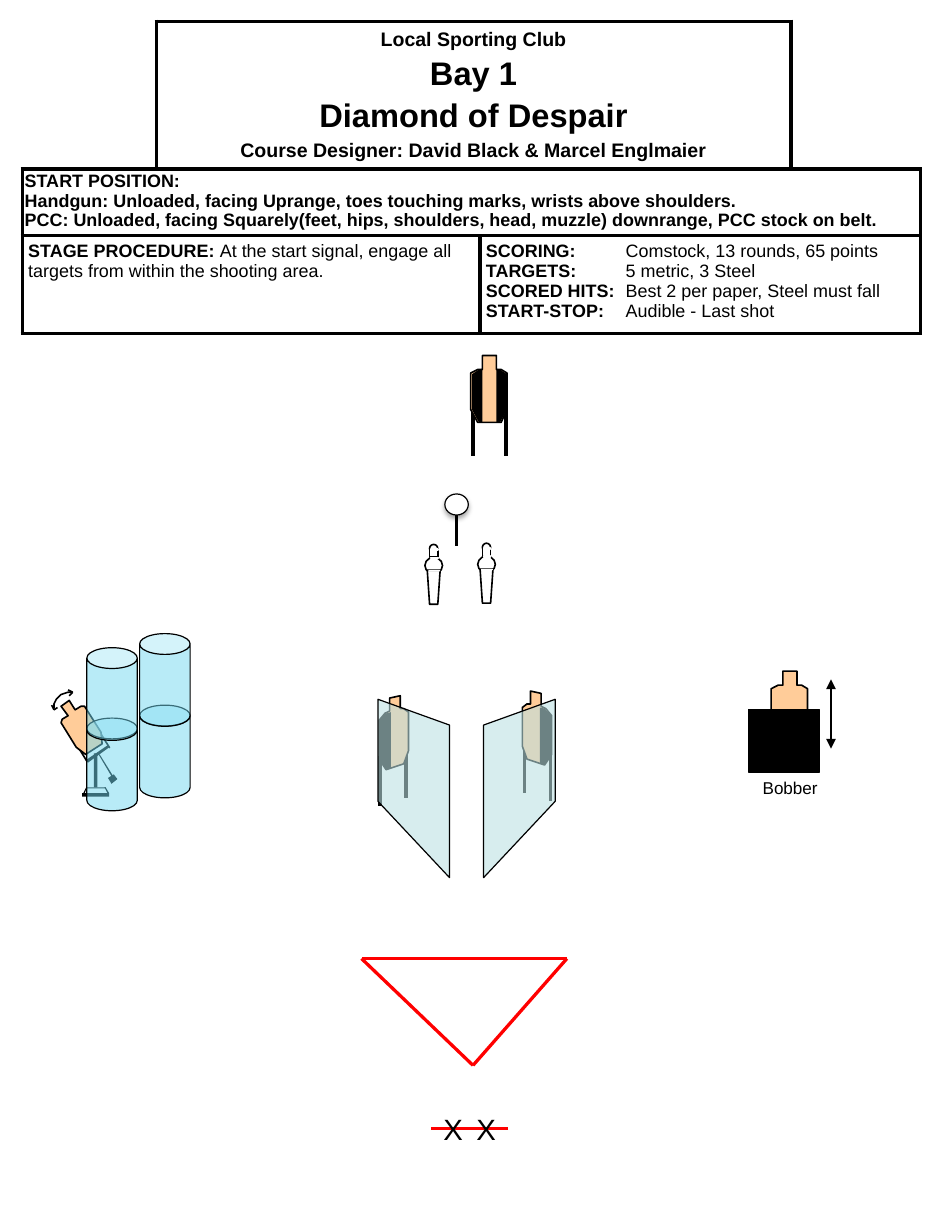
from lxml.etree import SubElement
from pptx import Presentation
from pptx.dml.color import RGBColor
from pptx.enum.shapes import MSO_CONNECTOR, MSO_SHAPE
from pptx.enum.text import MSO_ANCHOR, PP_ALIGN
from pptx.oxml.ns import qn
from pptx.util import Inches, Pt

deck = Presentation()
deck.slide_width, deck.slide_height = Inches(8), Inches(10.5)
page = deck.slides.add_slide(deck.slide_layouts[6])
shapes = page.shapes
color = RGBColor.from_string
BLACK, WHITE, RED, TAN, GLASS, BARREL = "000000", "FFFFFF", "FF0000", "FFCC99", "BBE0E3", "73D9F1"


def draw(kind, place, fill=None, line=None, width=1, alpha=None):
    """Kind is "line", "outline", "curve" or a preset; place is points or left, top, width, height."""
    if kind == "line":
        (x1, y1), (x2, y2) = place
        shape = shapes.add_connector(MSO_CONNECTOR.STRAIGHT, Inches(x1), Inches(y1), Inches(x2), Inches(y2))
    elif kind in ("outline", "curve"):
        points = [(Inches(x), Inches(y)) for x, y in place]
        builder = shapes.build_freeform(*points[0])
        builder.add_line_segments(points[1:], close=kind == "outline")
        shape = builder.convert_to_shape()
    else:
        shape = shapes.add_shape(kind, *map(Inches, place))
    if line:
        shape.line.color.rgb = color(line)
        shape.line.width = Pt(width)
    else:
        shape.line.fill.background()
    if kind == "line":
        SubElement(shape._element.spPr, qn("a:effectLst"))
        return shape
    shape.shadow.inherit = False
    if fill:
        shape.fill.solid()
        shape.fill.fore_color.rgb = color(fill)
    else:
        shape.fill.background()
    if alpha:
        tint = shape._element.spPr.find(qn("a:solidFill"))[0]
        SubElement(tint, qn("a:alpha"), val=str(alpha * 1000))
    return shape


def write(frame, paragraphs, size, **spacing):
    """Each paragraph is a list of (text, bold) pairs."""
    for number, spans in enumerate(paragraphs):
        para = frame.paragraphs[0] if number == 0 else frame.add_paragraph()
        for name, value in spacing.items():
            if number or name != "space_before":
                setattr(para, name, value)
        for text, bold in spans:
            span = para.add_run()
            span.text = text
            span.font.color.rgb = color(BLACK)
            for name, value in {"name": "Arial", "size": Pt(size), "bold": bold}.items():
                setattr(span.font, name, value)


# Stage description table
table = shapes.add_table(3, 4, Inches(0.19), Inches(0.18), Inches(7.65), Inches(2.66)).table
table.first_row = table.horz_banding = False
for column, width in zip(table.columns, (1.14, 2.76, 2.65, 1.1)):
    column.width = Inches(width)
for row, height in zip(table.rows, (1.26, 0.57, 0.83)):
    row.height = Inches(height)
corner_sides = {(0, 0): "RB", (0, 3): "LB"}
for r in range(3):
    for c in range(4):
        cell = table.cell(r, c)
        properties = cell._tc.get_or_add_tcPr()
        for side in "LRTB":
            edge = SubElement(properties, qn("a:ln" + side), w=str(Pt(2.25)))
            if side in corner_sides.get((r, c), "LRTB"):
                SubElement(SubElement(edge, qn("a:solidFill")), qn("a:srgbClr"), val=BLACK)
            else:
                SubElement(edge, qn("a:noFill"))
        cell.fill.solid()
        cell.fill.fore_color.rgb = color(WHITE)
        across, down = (0.02, 0.04) if r == 1 else (0.05, 0.05)
        cell.margin_left = cell.margin_right = Inches(across)
        cell.margin_top = cell.margin_bottom = Inches(down)
for r, first, last in ((0, 1, 2), (1, 0, 3), (2, 0, 1), (2, 2, 3)):
    table.cell(r, first).merge(table.cell(r, last))

heading = table.cell(0, 1)
heading.vertical_anchor = MSO_ANCHOR.MIDDLE
write(heading.text_frame, [
    [("Local Sporting Club", True)], [("Bay 1", True)], [("Diamond of Despair", True)],
    [("Course Designer: David Black & Marcel Englmaier", True)],
], 12, alignment=PP_ALIGN.CENTER, space_before=Pt(3.4))
for para in heading.text_frame.paragraphs[1:3]:
    para.runs[0].font.size = Pt(20)
write(table.cell(1, 0).text_frame, [
    [("START POSITION:", True)],
    [("Handgun: Unloaded, facing Uprange, toes touching marks, wrists above shoulders.", True)],
    [("PCC: Unloaded, facing Squarely(feet, hips, shoulders, head, muzzle) downrange, PCC stock on belt.", True)],
], 11, line_spacing=0.9, space_before=Pt(0.8))
write(table.cell(2, 0).text_frame, [[
    ("STAGE PROCEDURE: ", True),
    ("At the start signal, engage all targets from within the shooting area.", False),
]], 11)
scoring = table.cell(2, 2).text_frame
write(scoring, [[(label, True), ("\t" + value, False)] for label, value in (
    ("SCORING:", "Comstock, 13 rounds, 65 points"), ("TARGETS:", "5 metric, 3 Steel"),
    ("SCORED HITS:", "Best 2 per paper, Steel must fall"), ("START-STOP:", "Audible - Last shot"))], 11)
for para in scoring.paragraphs:
    tabs = SubElement(para._p.get_or_add_pPr(), qn("a:tabLst"))
    SubElement(tabs, qn("a:tab"), pos=str(Inches(1.19)), algn="l")

# Shooting area and start line
left, right, near = (3.08, 8.17), (4.83, 8.17), (4.03, 9.08)
for ends in ((right, left), (near, left), (near, right), ((4.33, 9.62), (3.67, 9.62))):
    draw("line", ends, line=RED, width=2)
for x in (3.68, 3.96):
    mark = shapes.add_textbox(Inches(x), Inches(9.42), Inches(0.31), Inches(0.4))
    mark.text_frame.word_wrap = True
    write(mark.text_frame, [[("X", False)]], 18)

# Steel poppers
for x, y in ((3.62, 4.64), (4.07, 4.63)):
    draw(MSO_SHAPE.OVAL, (x + 0.04, y, 0.07, 0.07), WHITE, BLACK)
    draw(MSO_SHAPE.OVAL, (x, y + 0.11, 0.15, 0.14), WHITE, BLACK)
    body = ((0.02, 0.22), (0.13, 0.22), (0.11, 0.51), (0.04, 0.51))
    draw("outline", [(x + dx, y + dy) for dx, dy in body], WHITE, BLACK)
    draw(MSO_SHAPE.RECTANGLE, (x + 0.04, y + 0.04, 0.07, 0.07), WHITE, BLACK)
    draw(MSO_SHAPE.RECTANGLE, (x + 0.03, y + 0.22, 0.1, 0.01), WHITE)
    for dy in (0.11, 0.04):
        draw(MSO_SHAPE.RECTANGLE, (x + 0.05, y + dy, 0.06, 0.01), WHITE, WHITE)

# Angled targets, the right one mirrored
angled = ((3.32, 5.95), (3.41, 5.93), (3.41, 6.04), (3.44, 6.04), (3.48, 6.07), (3.48, 6.4), (3.44, 6.51),
          (3.29, 6.56), (3.23, 6.47), (3.23, 6.14), (3.28, 6.08), (3.32, 6.06))
angled_cover = ((3.23, 6.47), (3.29, 6.56), (3.33, 6.55), (3.33, 6.07), (3.29, 6.08), (3.23, 6.14))
for sign, shift, rise in ((1, 0, 0), (-1, 7.93, 0.04)):
    for x, y in ((3.24, 6.44), (3.46, 6.37)):
        post = shift + sign * x
        draw("line", ((post, y - rise), (post, y - rise + 0.43)), line=BLACK, width=2.25)
    draw("outline", [(shift + sign * x, y - rise) for x, y in angled], TAN, BLACK)
    draw("outline", [(shift + sign * x, y - rise) for x, y in angled_cover], BLACK)

# Glass walls
wall = ((3.22, 6.83), (3.83, 7.48), (3.83, 6.18), (3.22, 5.96))
for sign, shift in ((-1, 7.95), (1, 0)):
    draw("outline", [(shift + sign * x, y) for x, y in wall], GLASS, BLACK, 0.75, 58)

# Swinging target on its stand
for x, y in ((0.73, 6.05), (0.54, 6.17)):
    draw("outline", ((x, y + 0.01), (x + 0.2, y + 0.33), (x + 0.21, y + 0.32), (x + 0.01, y)), BLACK)
draw("outline", ((0.59, 5.97), (0.52, 6.02), (0.58, 6.1), (0.53, 6.13), (0.52, 6.16), (0.65, 6.37), (0.73, 6.43),
                 (0.87, 6.34), (0.86, 6.24), (0.72, 6.02), (0.69, 6.02), (0.64, 6.05)), TAN, BLACK)
for points in (
    ((0.93, 6.37), (0.75, 6.5), (0.73, 6.48), (0.92, 6.35)),
    ((0.84, 6.43), (0.97, 6.65), (0.98, 6.64), (0.85, 6.43)),
    ((1, 6.64), (0.95, 6.68), (0.92, 6.63), (0.97, 6.6)),
    ((0.74, 6.71), (0.72, 6.77), (0.71, 6.76), (0.74, 6.7)),
    ((0.89, 6.71), (0.92, 6.77), (0.93, 6.76), (0.9, 6.71)),
):
    draw("outline", points, BLACK)
for place in ((0.7, 6.76, 0.23, 0.03), (0.8, 6.42, 0.03, 0.29), (0.74, 6.71, 0.16, 0.01)):
    draw(MSO_SHAPE.RECTANGLE, place, BLACK)
draw("curve", ((0.61, 5.9), (0.58, 5.9), (0.55, 5.91), (0.52, 5.92), (0.5, 5.94), (0.48, 5.96),
               (0.47, 5.98), (0.46, 6), (0.46, 6.04)), line=BLACK)
for tip, barbs in (((0.62, 5.9), ((0.59, 5.93), (0.58, 5.88))), ((0.46, 6.05), ((0.49, 6.03), (0.44, 6.01)))):
    for barb in barbs:
        draw("line", (tip, barb), line=BLACK)

# Stacked barrels
for x, y in ((0.74, 6.12), (0.74, 5.52), (1.19, 6.01), (1.19, 5.4)):
    barrel = draw(MSO_SHAPE.CAN, (x, y, 0.43, 0.79), BARREL, BLACK, 0.75, 50)
    barrel.adjustments[0] = 0.413

# Far target with two covered sides
silhouette = ((0.1, 0), (0.22, 0), (0.22, 0.12), (0.26, 0.12), (0.31, 0.15), (0.31, 0.46), (0.26, 0.57),
              (0.06, 0.57), (0, 0.46), (0, 0.15), (0.06, 0.12), (0.1, 0.12))
for x in (4.03, 4.31):
    draw("line", ((x, 3.45), (x, 3.89)), line=BLACK, width=2.25)
draw("outline", [(4.01 + x, 3.03 + y) for x, y in silhouette], TAN, BLACK)
cover = ((4.23, 3.15), (4.23, 3.6), (4.26, 3.6), (4.32, 3.49), (4.32, 3.19), (4.26, 3.15))
for sign, shift in ((1, 0), (-1, 8.34)):
    draw("outline", [(shift + sign * x, y) for x, y in cover], BLACK)

# Steel plate
plate = draw(MSO_SHAPE.OVAL, (3.79, 4.21, 0.2, 0.18), WHITE, BLACK, 0.75)
shadow = SubElement(plate._element.spPr.find(qn("a:effectLst")), qn("a:outerShdw"),
                    blurRad=str(Pt(3.1)), dist=str(Pt(1.8)), dir="5400000", rotWithShape="0")
SubElement(SubElement(shadow, qn("a:srgbClr"), val=BLACK), qn("a:alpha"), val="35000")
stem = draw("line", ((3.89, 4.65), (3.89, 4.39)), line=BLACK, width=2)

# Bobber
draw("outline", [(6.57 + x, 5.72 + y) for x, y in silhouette], TAN, BLACK)
draw(MSO_SHAPE.RECTANGLE, (6.38, 6.05, 0.6, 0.53), BLACK, BLACK, 0.75)
travel = draw("line", ((7.08, 5.79), (7.08, 6.38)), line=BLACK, width=1.5)
for end in ("a:headEnd", "a:tailEnd"):
    SubElement(travel._element.spPr.find(qn("a:ln")), qn(end), type="triangle")
label = shapes.add_textbox(Inches(6.4), Inches(6.58), Inches(0.7), Inches(0.29))
label.text_frame.word_wrap = False
write(label.text_frame, [[("Bobber", False)]], 10.5)

deck.save("out.pptx")
